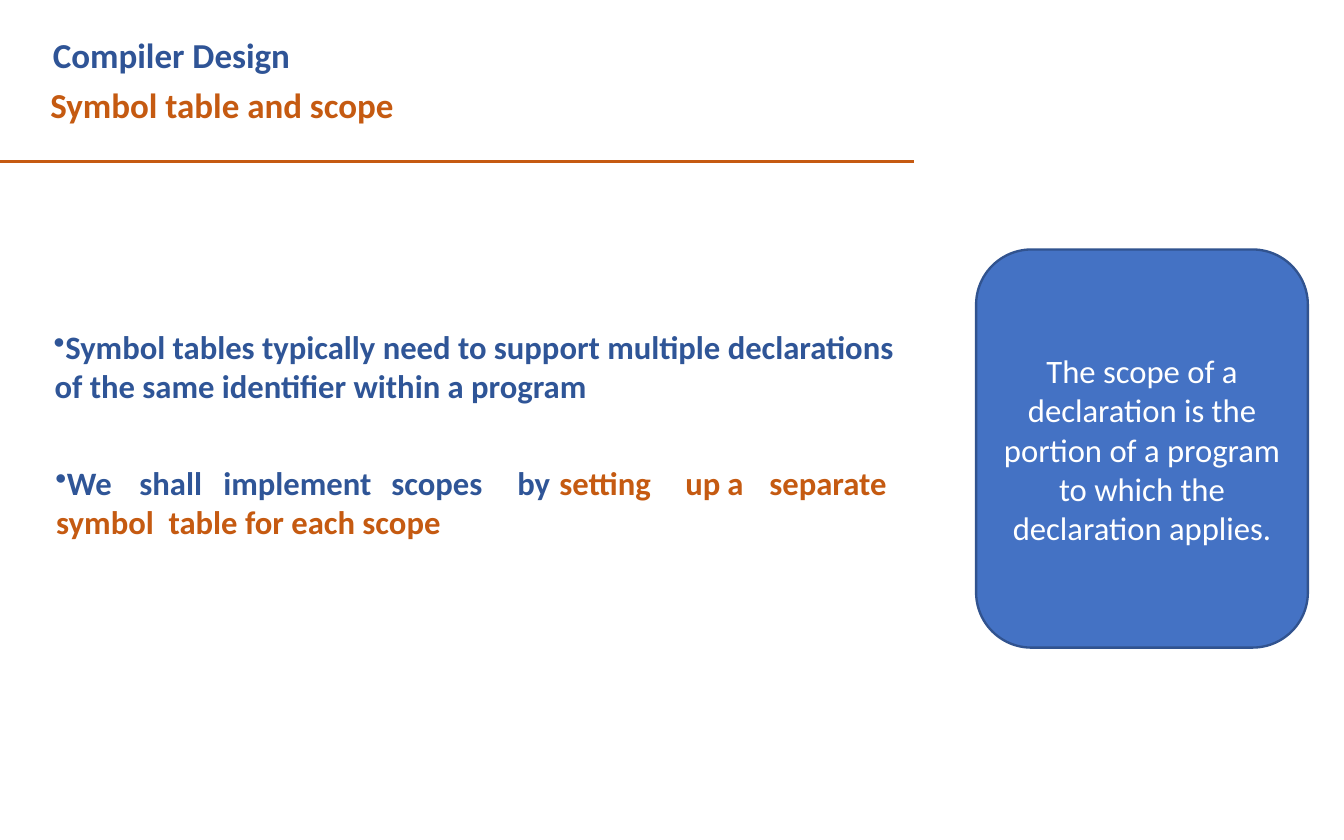
import pptx
import pptx.util
import pptx.dml.color
import pptx.enum.shapes
import pptx.enum.text
import pptx.oxml.ns
from lxml import etree

Inches = pptx.util.Inches
Pt = pptx.util.Pt

COLORS = {"title": "2F5496", "body": "2F5597", "accent": "C55A11",
          "panel": "4472C4", "panel_line": "31538F", "white": "FFFFFF"}
FONT = "Calibri"

# text, colour, first-line indent
TITLE_LINES = [("Compiler Design", "title", 0.03),
               ("Symbol table and scope", "accent", 0)]
TITLE_BOX = (0.59, 0.31, 4.11, 1.19)

# box, runs of (text, colour)
BULLETS = [
    ((0.64, 3.88, 10.3, 0.96),
     [("Symbol tables typically need to support multiple declarations "
       "of the same identifier within a program", "body")]),
    ((0.66, 5.5, 10.44, 0.96),
     [("We\tshall\timplement\tscopes\tby\t", "body"),
      ("setting\tup\ta\tseparate\tsymbol  table for each scope", "accent")]),
]

SCOPE_TEXT = "The scope of a declaration is the portion of a program to which the declaration applies."
SCOPE_BOX = (11.62, 2.97, 3.95, 4.74)
RULE_Y, RULE_END = 1.92, 10.88


def rgb(name):
    return pptx.dml.color.RGBColor.from_string(COLORS[name])


def set_font(font, size, bold):
    font.name, font.size, font.bold = FONT, Pt(size), bold


def prepare_frame(frame, side=0, anchor=pptx.enum.text.MSO_ANCHOR.TOP):
    frame.word_wrap = True
    frame.auto_size = pptx.enum.text.MSO_AUTO_SIZE.NONE
    frame.vertical_anchor = anchor
    frame.margin_left = frame.margin_right = Inches(side)
    frame.margin_top, frame.margin_bottom = Inches(0.01), 0


def set_indent(paragraph, first_line):
    properties = paragraph._p.get_or_add_pPr()
    properties.set("marL", str(Inches(0.01)))
    properties.set("indent", str(Inches(first_line)))
    return properties


def add_bullet(paragraph):
    properties = set_indent(paragraph, -0.19)
    qn = pptx.oxml.ns.qn
    color = etree.SubElement(properties, qn("a:buClr"))
    etree.SubElement(color, qn("a:srgbClr"), val=COLORS["body"])
    etree.SubElement(properties, qn("a:buChar"), char="•")


def add_title(slide):
    title = slide.shapes.title
    title.left, title.top, title.width, title.height = map(Inches, TITLE_BOX)
    frame = title.text_frame
    prepare_frame(frame)
    frame.text = "\n".join(line[0] for line in TITLE_LINES)
    for paragraph, (_, color, indent) in zip(frame.paragraphs, TITLE_LINES):
        set_indent(paragraph, indent)
        paragraph.alignment = pptx.enum.text.PP_ALIGN.LEFT
        paragraph.line_spacing = 1.17
        paragraph.space_before = Pt(0)
        set_font(paragraph.font, 30, True)
        paragraph.font.color.rgb = rgb(color)


def add_rule(slide):
    rule = slide.shapes.add_connector(
        pptx.enum.shapes.MSO_CONNECTOR.STRAIGHT,
        0, Inches(RULE_Y), Inches(RULE_END), Inches(RULE_Y))
    rule.line.color.rgb = rgb("accent")
    rule.line.width = Pt(3)
    etree.SubElement(rule._element.spPr, pptx.oxml.ns.qn("a:effectLst"))


def add_bullet_box(slide, box, runs):
    frame = slide.shapes.add_textbox(*map(Inches, box)).text_frame
    prepare_frame(frame)
    paragraph = frame.paragraphs[0]
    add_bullet(paragraph)
    set_font(paragraph.font, 28, True)
    for text, color in runs:
        run = paragraph.add_run()
        run.text = text
        run.font.color.rgb = rgb(color)


def add_scope_panel(slide):
    panel = slide.shapes.add_shape(
        pptx.enum.shapes.MSO_SHAPE.ROUNDED_RECTANGLE, *map(Inches, SCOPE_BOX))
    panel.shadow.inherit = False
    panel.fill.solid()
    panel.fill.fore_color.rgb = rgb("panel")
    panel.line.color.rgb = rgb("panel_line")
    panel.line.width = Pt(2)
    # The rounded corners already inset the text by about 0.19 inches.
    prepare_frame(panel.text_frame, 0.12, pptx.enum.text.MSO_ANCHOR.MIDDLE)
    paragraph = panel.text_frame.paragraphs[0]
    paragraph.text = SCOPE_TEXT
    paragraph.alignment = pptx.enum.text.PP_ALIGN.CENTER
    set_font(paragraph.font, 28, False)
    paragraph.font.color.rgb = rgb("white")


def main():
    presentation = pptx.Presentation()
    presentation.slide_width, presentation.slide_height = Inches(16), Inches(10)
    slide = presentation.slides.add_slide(presentation.slide_layouts[5])
    add_title(slide)
    add_rule(slide)
    for box, runs in BULLETS:
        add_bullet_box(slide, box, runs)
    add_scope_panel(slide)
    presentation.save("out.pptx")


if __name__ == "__main__":
    main()
